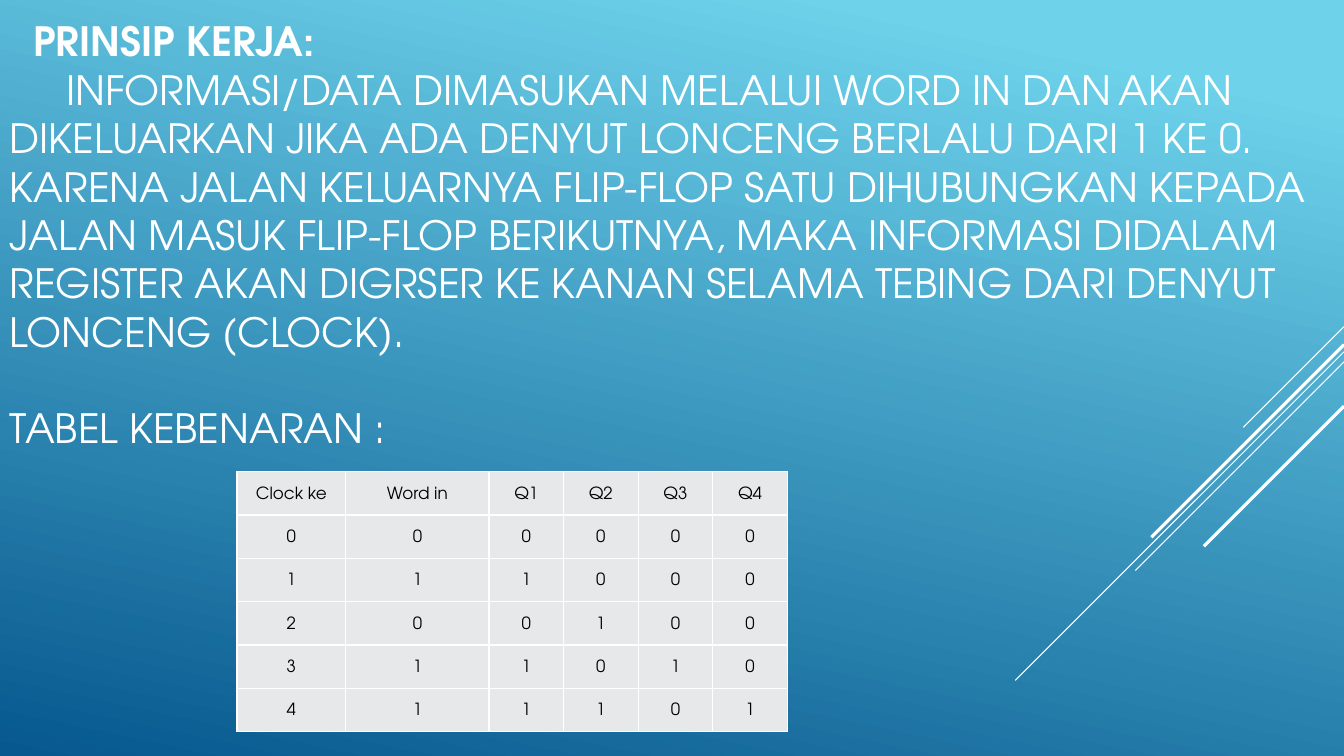
from lxml import etree
from pptx import Presentation
from pptx.dml.color import RGBColor
from pptx.enum.shapes import MSO_CONNECTOR
from pptx.enum.text import MSO_ANCHOR, PP_ALIGN
from pptx.oxml.ns import qn
from pptx.util import Inches, Pt

STRAIGHT = MSO_CONNECTOR.STRAIGHT
MIDDLE = MSO_ANCHOR.MIDDLE
LEFT, CENTER = PP_ALIGN.LEFT, PP_ALIGN.CENTER

FONT = "TeX Gyre Adventor"
COLORS = {"sky": "6ED2EB", "deep": "06588E", "white": "FFFFFF",
          "black": "000000", "cell": "E7E8EA"}
SLIDE_W, SLIDE_H = 13.33, 7.5

HEADING = "PRINSIP KERJA:"
EXPLANATION = (
    "INFORMASI/DATA DIMASUKAN MELALUI WORD IN DAN\tAKAN DIKELUARKAN JIKA ADA "
    "DENYUT LONCENG BERLALU DARI 1 KE 0. KARENA JALAN KELUARNYA FLIP-FLOP SATU "
    "DIHUBUNGKAN KEPADA JALAN MASUK FLIP-FLOP BERIKUTNYA, MAKA INFORMASI DIDALAM "
    "REGISTER AKAN DIGRSER KE KANAN SELAMA TEBING DARI DENYUT LONCENG (CLOCK)."
)
TABLE_LABEL = "TABEL KEBENARAN :"

TRUTH_ROWS = [
    ["Clock ke", "Word in", "Q1", "Q2", "Q3", "Q4"],
    *["000000", "111000", "200100", "311010", "411101"],
]
COLUMN_WIDTHS = [1.08, 1.42] + [0.74] * 4
ROW_HEIGHT = 0.43

STREAKS = [(3.24, 1.0, 0.75), (3.49, 3.26, 0.75), (3.59, 2.07, 0.75),
           (3.42, 1.91, 2.25), (4.03, 1.39, 2.25)]


def rgb(name):
    """Return the palette colour of that name."""
    return RGBColor.from_string(COLORS[name])


def write(paragraph, text, size=28.8, color="white", bold=False, align=LEFT,
          spacing=1.0, before=0, indent=0):
    """Write formatted text into a paragraph."""
    paragraph.alignment = align
    paragraph.line_spacing = spacing
    paragraph.space_before = Pt(before)
    run = paragraph.add_run()
    run.text = text
    run.font.name = FONT
    run.font.size = Pt(size)
    run.font.bold = bold
    run.font.color.rgb = rgb(color)
    if indent:
        paragraph._p.get_or_add_pPr().set("indent", str(Inches(indent)))


def add_tab_stop(paragraph, position):
    """Set one left tab stop, in inches, on a paragraph."""
    stops = etree.SubElement(paragraph._p.get_or_add_pPr(), qn("a:tabLst"))
    etree.SubElement(stops, qn("a:tab"), pos=str(Inches(position)), algn="l")


def paint_background(slide):
    """Fill the slide with the sky gradient."""
    fill = slide.background.fill
    fill.gradient()
    fill.gradient_angle = 360 - 102
    for stop, position, color in zip(fill.gradient_stops, (0.1, 1), ("sky", "deep")):
        stop.position = position
        stop.color.rgb = rgb(color)


def add_streaks(slide, right):
    """Draw the diagonal streaks that fall at 45 degrees from the right edge."""
    for top, reach, width in STREAKS:
        streak = slide.shapes.add_connector(
            STRAIGHT, Inches(right), Inches(top),
            Inches(right - reach), Inches(top + reach))
        streak.line.color.rgb = rgb("white")
        streak.line.width = Pt(width)
        etree.SubElement(streak._element.spPr, qn("a:effectLst"))


def add_principle(slide, left, top, width, height):
    """Place the working principle text and the label of the table."""
    box = slide.shapes.add_textbox(*map(Inches, (left, top, width, height)))
    frame = box.text_frame
    frame.word_wrap = True
    frame.vertical_anchor = MIDDLE
    frame.margin_bottom = Inches(0.53)
    write(frame.paragraphs[0], HEADING, bold=True, indent=0.23)
    explanation = frame.add_paragraph()
    write(explanation, EXPLANATION, indent=0.56)
    add_tab_stop(explanation, 11.81)
    write(frame.add_paragraph(), TABLE_LABEL, before=34.5)


def add_borders(cell):
    """Draw white borders on all four sides of a cell."""
    properties = cell._tc.get_or_add_tcPr()
    for index, side in enumerate(("a:lnL", "a:lnR", "a:lnT", "a:lnB")):
        border = etree.Element(qn(side), w=str(Pt(1)))
        solid = etree.SubElement(border, qn("a:solidFill"))
        etree.SubElement(solid, qn("a:srgbClr"), val=COLORS["white"])
        properties.insert(index, border)


def add_truth_table(slide, left, top):
    """Place the truth table of the shift register."""
    table = slide.shapes.add_table(
        len(TRUTH_ROWS), len(COLUMN_WIDTHS), Inches(left), Inches(top),
        Inches(sum(COLUMN_WIDTHS)), Inches(ROW_HEIGHT * len(TRUTH_ROWS))).table
    for column, width in zip(table.columns, COLUMN_WIDTHS):
        column.width = Inches(width)
    for row, values in zip(table.rows, TRUTH_ROWS):
        row.height = Inches(ROW_HEIGHT)
        for cell, value in zip(row.cells, values):
            cell.fill.solid()
            cell.fill.fore_color.rgb = rgb("cell")
            cell.vertical_anchor = MIDDLE
            cell.margin_left = cell.margin_right = Inches(0.07)
            cell.margin_top = cell.margin_bottom = Inches(0.05)
            write(cell.text_frame.paragraphs[0], value, size=12, color="black",
                  align=CENTER, spacing=1.14)
            add_borders(cell)


def main():
    """Build the slide and save it."""
    deck = Presentation()
    deck.slide_width, deck.slide_height = Inches(SLIDE_W), Inches(SLIDE_H)
    slide = deck.slides.add_slide(deck.slide_layouts[6])
    paint_background(slide)
    add_streaks(slide, SLIDE_W)
    add_principle(slide, 0, 0, 13.24, 5.13)
    add_truth_table(slide, 2.35, 4.68)
    deck.save("out.pptx")


if __name__ == "__main__":
    main()
